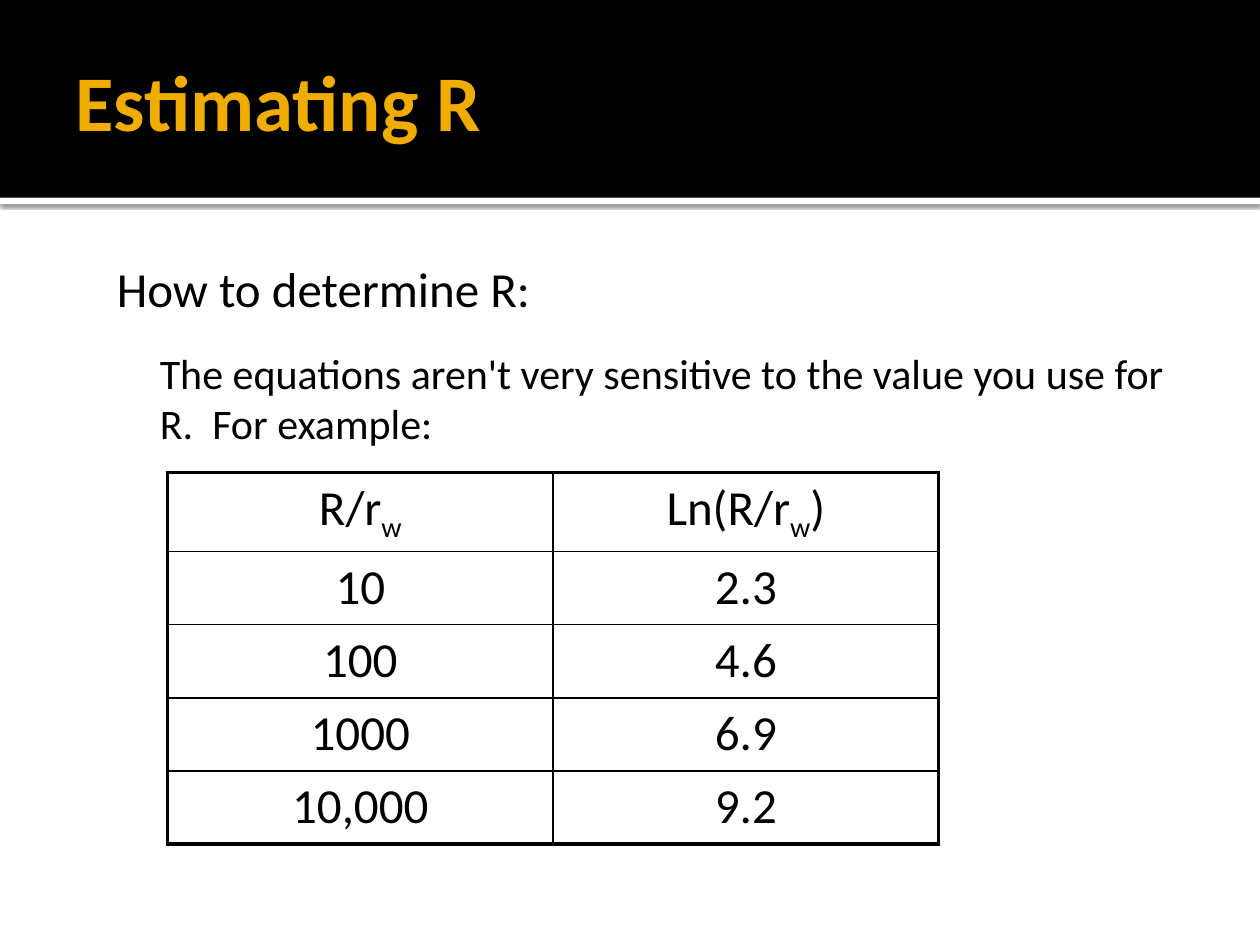
from lxml import etree
from pptx import Presentation
from pptx.dml.color import RGBColor
from pptx.enum.shapes import MSO_SHAPE
from pptx.enum.text import MSO_ANCHOR, MSO_AUTO_SIZE, PP_ALIGN
from pptx.oxml import parse_xml
from pptx.oxml.ns import nsdecls, qn
from pptx.util import Inches, Pt

RECTANGLE = MSO_SHAPE.RECTANGLE
MIDDLE = MSO_ANCHOR.MIDDLE
FIT_SHAPE = MSO_AUTO_SIZE.SHAPE_TO_FIT_TEXT
LEFT, CENTER = PP_ALIGN.LEFT, PP_ALIGN.CENTER
TITLE_ONLY = 5
BLACK, WHITE, GOLD = "000000", "FFFFFF", "F0AD00"
THIN, THICK = 1, 2.25


def color(hex_string):
    return RGBColor.from_string(hex_string)


class SlideBuilder:
    font_name = "Calibri"

    def __init__(self, slide):
        self.slide = slide

    def style(self, paragraph, size, hex_color=BLACK, bold=False, align=LEFT):
        paragraph.alignment = align
        font = paragraph.font
        font.name, font.size, font.bold = self.font_name, Pt(size), bold
        font.color.rgb = color(hex_color)

    def band(self, top, height, fill, shadow=False):
        band = self.slide.shapes.add_shape(
            RECTANGLE, 0, Inches(top), Inches(10), Inches(height))
        band.shadow.inherit = False
        band.fill.solid()
        band.fill.fore_color.rgb = color(fill)
        band.line.fill.background()
        if shadow:
            effects = band._element.spPr.find(qn("a:effectLst"))
            effects.append(parse_xml(
                f'<a:outerShdw {nsdecls("a")} blurRad="{Pt(2.5)}" dist="{Pt(0.8)}" '
                f'dir="5400000" algn="t" rotWithShape="0"><a:srgbClr val="{BLACK}">'
                '<a:alpha val="60000"/></a:srgbClr></a:outerShdw>'))

    def title(self, text, left, top, width, height):
        title = self.slide.shapes.title
        title.left, title.top = Inches(left), Inches(top)
        title.width, title.height = Inches(width), Inches(height)
        frame = title.text_frame
        frame.text = text
        frame.vertical_anchor = MIDDLE
        frame.margin_left = Inches(0.1)
        frame.margin_top = frame.margin_right = frame.margin_bottom = Inches(0.05)
        self.style(frame.paragraphs[0], 45, GOLD, bold=True)
        # Bring the title in front of the bands
        self.slide.shapes._spTree.append(title._element)

    def text(self, text, left, top, width, height, size, wrap=True):
        box = self.slide.shapes.add_textbox(
            Inches(left), Inches(top), Inches(width), Inches(height))
        frame = box.text_frame
        frame.text = text
        frame.word_wrap = wrap
        frame.auto_size = FIT_SHAPE
        if wrap:
            frame.vertical_anchor = MIDDLE
        self.style(frame.paragraphs[0], size)

    def cell_borders(self, cell, widths):
        properties = cell._tc.get_or_add_tcPr()
        for position, (side, width) in enumerate(widths.items()):
            line = etree.Element(qn(f"a:{side}"), w=str(Pt(width)))
            fill = etree.SubElement(line, qn("a:solidFill"))
            etree.SubElement(fill, qn("a:srgbClr"), val=BLACK)
            properties.insert(position, line)

    def table(self, rows, left, top, column_width, row_height, size):
        row_count, column_count = len(rows), len(rows[0])
        table = self.slide.shapes.add_table(
            row_count, column_count, Inches(left), Inches(top),
            Inches(column_width * column_count), Inches(row_height * row_count)).table
        table.first_row = table.horz_banding = False
        for column in table.columns:
            column.width = Inches(column_width)
        for r, row in enumerate(rows):
            table.rows[r].height = Inches(row_height)
            for c, content in enumerate(row):
                cell = table.cell(r, c)
                cell.fill.background()
                paragraph = cell.text_frame.paragraphs[0]
                self.style(paragraph, size, align=CENTER)
                # Text after an underscore is a one-letter subscript
                base, _, rest = content.partition("_")
                paragraph.add_run().text = base
                if rest:
                    subscript = paragraph.add_run()
                    subscript.text = rest[0]
                    subscript.font._element.set("baseline", "-25000")
                if rest[1:]:
                    paragraph.add_run().text = rest[1:]
                # Thick outer frame, thin inner grid
                self.cell_borders(cell, {
                    "lnL": THICK if c == 0 else THIN,
                    "lnR": THICK if c == column_count - 1 else THIN,
                    "lnT": THICK if r == 0 else THIN,
                    "lnB": THICK if r == row_count - 1 else THIN,
                })


def main():
    presentation = Presentation()
    presentation.slide_width, presentation.slide_height = Inches(10), Inches(7.5)
    builder = SlideBuilder(
        presentation.slides.add_slide(presentation.slide_layouts[TITLE_ONLY]))

    # Header
    builder.band(1.57, 0.05, WHITE, shadow=True)
    builder.band(0, 1.57, BLACK)
    builder.title("Estimating R", 0.5, 0.17, 8.5, 1.25)

    # Sensitivity of the logarithm to the radius ratio
    ratios = [
        ("R/r_w", "Ln(R/r_w)"),
        ("10", "2.3"),
        ("100", "4.6"),
        ("1000", "6.9"),
        ("10,000", "9.2"),
    ]
    builder.table(ratios, 1.33, 3.75, 3.06, 0.58, 28)

    # Explanation
    builder.text("The equations aren't very sensitive to the value you use for "
                 "R.  For example:", 1.17, 2.7, 8.5, 0.91, 24)
    builder.text("How to determine R:", 0.83, 2, 3.56, 0.57, 28, wrap=False)

    presentation.save("out.pptx")


if __name__ == "__main__":
    main()
